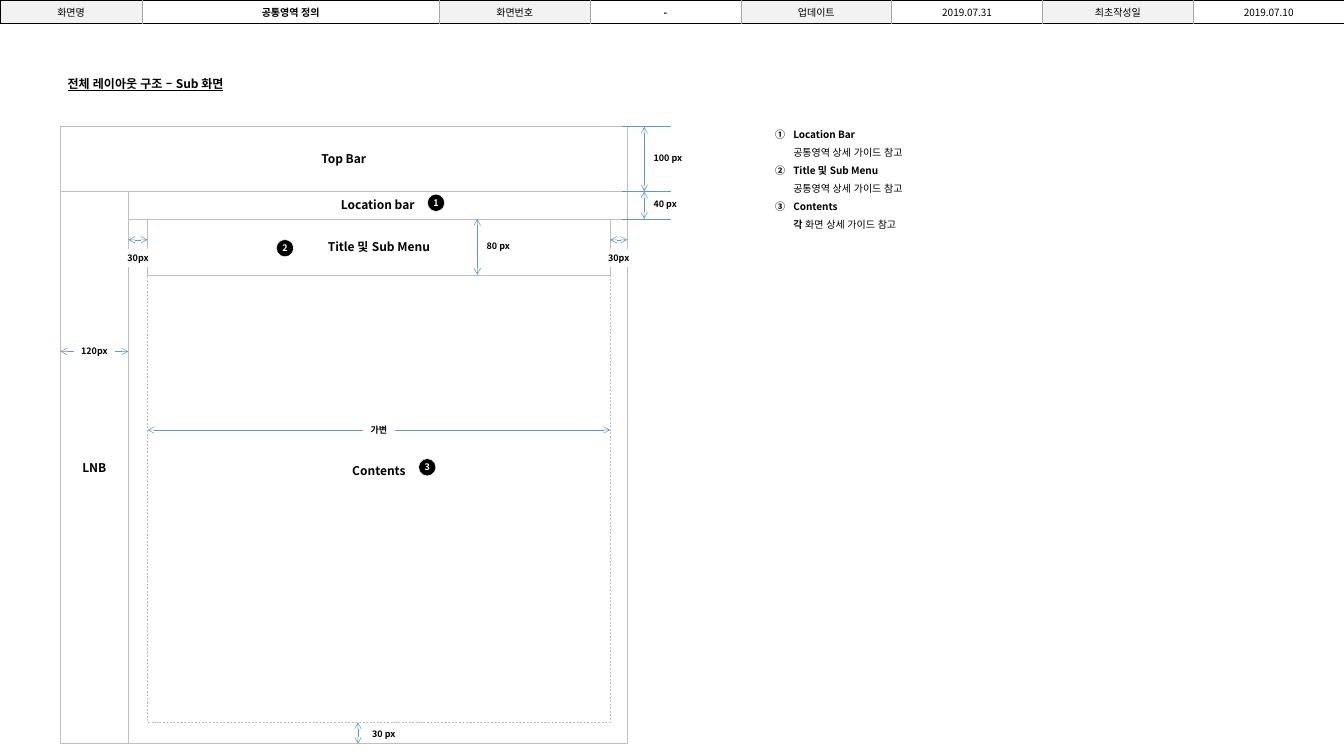
from lxml import etree
from pptx import Presentation
from pptx import util as u
from pptx.dml.color import RGBColor
from pptx.enum import dml, lang, shapes, text
from pptx.oxml.ns import qn

FONT = "Noto Sans CJK KR"
BLACK = RGBColor(0x00, 0x00, 0x00)
WHITE = RGBColor(0xFF, 0xFF, 0xFF)
PALE = RGBColor(0xF2, 0xF2, 0xF2)
GREY = RGBColor(0xBF, 0xBF, 0xBF)
RULE = RGBColor(0xA6, 0xA6, 0xA6)
BLUE = RGBColor(0x5B, 0x9B, 0xD5)
HAIRLINE = u.Pt(0.5)
LEFT, CENTER = text.PP_ALIGN.LEFT, text.PP_ALIGN.CENTER

FORM_CELLS = ["화면명", "", "화면번호", "", "업데이트", "2019.07.31", "최초작성일", "2019.07.10"]
PAGE_CELLS = ["", "공통영역 정의", "", "-", "", "", "", ""]
LEGEND = [
    [("Location Bar\v", True), ("공통영역 상세 가이드 참고", False)],
    [("Title 및 Sub Menu\v", True), ("공통영역 상세 가이드 참고", False)],
    [("Contents\v각 ", True), ("화면 상세 가이드 참고", False)],
]


def cm(*lengths):
    return [u.Cm(length) for length in lengths]


def style_span(span, size, bold=True, color=BLACK):
    font = span.font
    font.size, font.bold, font.name = u.Pt(size), bold, FONT
    font.color.rgb = color
    font.language_id = lang.MSO_LANGUAGE_ID.KOREAN
    east_asian = etree.SubElement(span._r.get_or_add_rPr(), qn("a:ea"))
    east_asian.set("typeface", FONT)


def write(frame, words, size, align=CENTER, bold=True, color=BLACK):
    frame.text = words
    para = frame.paragraphs[0]
    para.alignment = align
    for span in para.runs:
        style_span(span, size, bold, color)


def add_box(page, kind, box, words="", size=12, fill=None, line=None, color=BLACK):
    shape = page.shapes.add_shape(kind, *cm(*box))
    shape.shadow.inherit = False
    for paint, tint in ((shape.fill, fill), (shape.line.fill, line)):
        if tint is None:
            paint.background()
        else:
            paint.solid()
            paint.fore_color.rgb = tint
    if line is not None:
        shape.line.width = HAIRLINE
    shape.text_frame.vertical_anchor = text.MSO_ANCHOR.MIDDLE
    if words:
        write(shape.text_frame, words, size, color=color)
    return shape


def add_line(page, x1, y1, x2, y2, arrows=False):
    line = page.shapes.add_connector(shapes.MSO_CONNECTOR.STRAIGHT, *cm(x1, y1, x2, y2))
    line.line.color.rgb = BLUE
    line.line.width = HAIRLINE
    properties = line._element.spPr
    if arrows:
        for end in ("a:headEnd", "a:tailEnd"):
            etree.SubElement(properties.find(qn("a:ln")), qn(end)).set("type", "arrow")
    etree.SubElement(properties, qn("a:effectLst"))


def add_label(page, box, words, align, fill=None):
    label = add_box(page, shapes.MSO_SHAPE.RECTANGLE, box, fill=fill)
    frame = label.text_frame
    frame.word_wrap = False
    frame.vertical_anchor = text.MSO_ANCHOR.TOP
    frame.auto_size = text.MSO_AUTO_SIZE.SHAPE_TO_FIT_TEXT
    write(frame, words, 9, align)


def measure_across(page, x1, x2, y, words, width, drop=0):
    """Horizontal dimension with a white label centred on it or below it."""
    add_line(page, x1, y, x2, y, arrows=True)
    box = ((x1 + x2 - width) / 2, y - 0.32 + drop, width, 0.64)
    add_label(page, box, words, CENTER, WHITE)


def measure_down(page, x, y1, y2, words, width=1.37, gap=0.08, drop=0):
    """Vertical dimension with its label to the right."""
    add_line(page, x, y1, x, y2, arrows=True)
    add_label(page, (x + gap, (y1 + y2) / 2 - 0.34 + drop, width, 0.64), words, LEFT)


def header(page, box, entries, bold, ruled):
    """One-row table; the ruled one carries the fills and borders."""
    count, width, height = len(entries), box[2], box[3]
    holder = page.shapes.add_table(1, count, *cm(*box))
    table = holder.table
    table.first_row = table.horz_banding = False
    table.rows[0].height = u.Cm(height)
    first, narrow = 5.01, 5.32
    widths = [first, width - first - narrow * (count - 2)] + [narrow] * (count - 2)
    for index, words in enumerate(entries):
        table.columns[index].width = u.Cm(widths[index])
        cell = table.cell(0, index)
        cell.margin_left = cell.margin_right = u.Cm(0.36)
        cell.margin_top = cell.margin_bottom = u.Cm(0.15)
        cell.vertical_anchor = text.MSO_ANCHOR.MIDDLE
        write(cell.text_frame, words, 10, bold=bold)
        if not words:
            etree.SubElement(cell.text_frame.paragraphs[0]._p, qn("a:endParaRPr"), sz="1000")
        # Black outside edges, grey rules between the cells
        edges = {"a:lnL": BLACK if index == 0 else RULE,
                 "a:lnR": BLACK if index == count - 1 else RULE,
                 "a:lnT": BLACK, "a:lnB": BLACK}
        for edge, color in edges.items():
            border = etree.SubElement(cell._tc.get_or_add_tcPr(), qn(edge), w=str(int(HAIRLINE)))
            if ruled:
                paint = etree.SubElement(border, qn("a:solidFill"))
                etree.SubElement(paint, qn("a:srgbClr"), val=str(color))
            else:
                etree.SubElement(border, qn("a:noFill"))
        if ruled:
            cell.fill.solid()
            cell.fill.fore_color.rgb = WHITE if index % 2 else PALE
        else:
            cell.fill.background()
    return holder


def heading(page, left, top, width, height):
    title = page.shapes.title
    title.left, title.top, title.width, title.height = cm(left, top, width, height)
    frame = title.text_frame
    frame.word_wrap = False
    frame.auto_size = text.MSO_AUTO_SIZE.SHAPE_TO_FIT_TEXT
    frame.vertical_anchor = text.MSO_ANCHOR.TOP
    write(frame, "전체 레이아웃 구조 – Sub 화면", 12, LEFT)
    frame.paragraphs[0].runs[0].font.underline = True


def wireframe(page, left, top, width, height):
    right, bottom = left + width, top + height
    bar_end = top + 2.28
    location_end = bar_end + 0.97
    title_end = location_end + 1.98
    menu_end = left + 2.4
    inner_left, inner_right = menu_end + 0.68, right - 0.6
    inner_width = inner_right - inner_left
    inner_bottom = bottom - 0.76

    # Screen areas
    areas = [
        ("Title 및 Sub Menu", inner_left, location_end, inner_width, title_end - location_end),
        ("", left, top, width, height),
        ("Top Bar", left, top, width, bar_end - top),
        ("LNB", left, bar_end, menu_end - left, bottom - bar_end),
        ("Contents", inner_left, location_end, inner_width, inner_bottom - location_end),
        ("Location bar", menu_end, bar_end, right - menu_end, location_end - bar_end),
    ]
    for words, *box in areas:
        area = add_box(page, shapes.MSO_SHAPE.RECTANGLE, box, words, line=GREY)
        if words == "Contents":
            area.line.dash_style = dml.MSO_LINE.DASH

    # Heights
    for y in (top, bar_end, location_end):
        add_line(page, right - 0.2, y, right + 1.55, y)
    measure_down(page, right + 0.6, top, bar_end, "100 px", 1.55)
    measure_down(page, right + 0.6, bar_end, location_end, "40 px")
    measure_down(page, left + 14.71, location_end, title_end, "80 px")
    measure_down(page, left + 10.5, inner_bottom, bottom, "30 px", gap=0.25, drop=0.06)

    # Widths
    measure_across(page, left, menu_end, top + 7.93, "120px", 1.45)
    for x1, x2 in ((menu_end, inner_left), (inner_right, right)):
        measure_across(page, x1, x2, top + 3.99, "30px", 1.27, drop=0.64)
    measure_across(page, inner_left, inner_right, top + 10.7, "가변", 1.14)

    # Numbered badges
    for number, (x, y) in enumerate([(12.95, 2.38), (7.62, 3.98), (12.64, 11.71)], 1):
        badge = add_box(page, shapes.MSO_SHAPE.OVAL, (left + x, top + y, 0.61, 0.61),
                        str(number), 9, BLACK, WHITE, WHITE)
        frame = badge.text_frame
        frame.margin_left = frame.margin_right = frame.margin_top = frame.margin_bottom = 0


def legend(page, left, top, width, height):
    frame = page.shapes.add_textbox(*cm(left, top, width, height)).text_frame
    frame.word_wrap = True
    for index, pieces in enumerate(LEGEND):
        para = frame.add_paragraph() if index else frame.paragraphs[0]
        para.line_spacing = 1.5
        properties = para._p.get_or_add_pPr()
        properties.set("marL", str(u.Cm(0.64)))
        properties.set("indent", str(-u.Cm(0.64)))
        etree.SubElement(properties, qn("a:buFont"), typeface=FONT)
        etree.SubElement(properties, qn("a:buAutoNum"), type="circleNumDbPlain")
        for words, bold in pieces:
            for order, part in enumerate(words.split("\v")):
                if order:
                    para.add_line_break()
                if part:
                    span = para.add_run()
                    span.text = part
                    style_span(span, 10, bold)
        for line_break in para._p.findall(qn("a:br")):
            etree.SubElement(line_break, qn("a:rPr"), sz="1000")


def main():
    deck = Presentation()
    deck.slide_width, deck.slide_height = cm(47.42, 26.67)
    layout = deck.slide_layouts[5]
    page = deck.slides.add_slide(layout)
    band = (0, 0.02, 47.42, 0.81)
    # The form table belongs to the layout, the page's own entries lie over it
    form = header(page, band, FORM_CELLS, bold=False, ruled=True)
    form._element.nvGraphicFramePr.cNvPr.set("id", "20")
    layout.shapes.element.append(form._element)
    header(page, band, PAGE_CELLS, bold=True, ruled=False)
    heading(page, 2.13, 2.57, 6.53, 0.77)
    wireframe(page, 2.13, 4.47, 20, 21.77)
    legend(page, 27.1, 4.19, 5.44, 4.11)
    deck.save("out.pptx")


if __name__ == "__main__":
    main()
